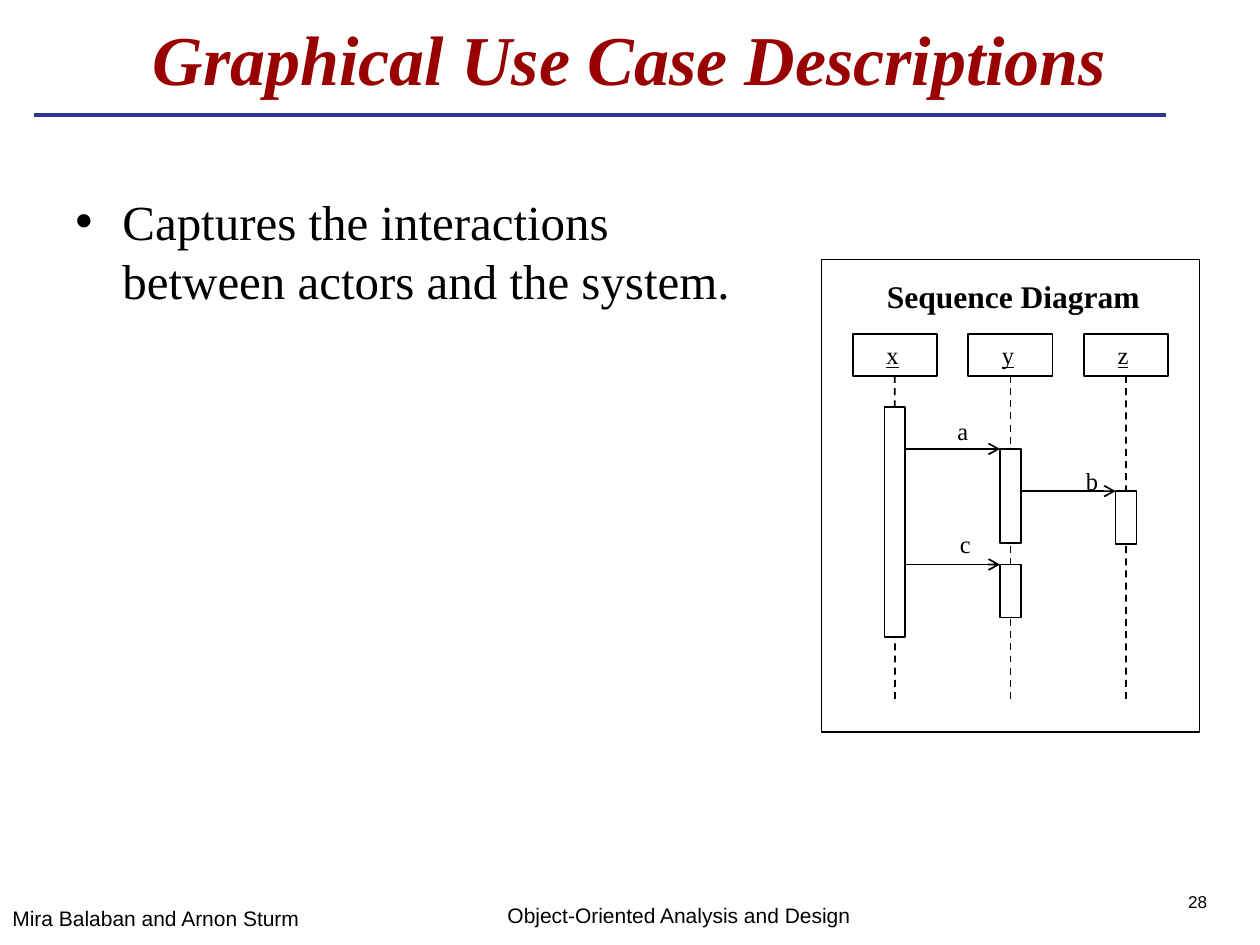
from lxml.etree import SubElement
from pptx import Presentation
from pptx.dml.color import RGBColor
from pptx.enum.dml import MSO_LINE
from pptx.enum.shapes import MSO_CONNECTOR, MSO_SHAPE
from pptx.enum.text import MSO_ANCHOR, PP_ALIGN
from pptx.oxml.ns import qn
from pptx.util import Cm, Pt

SERIF, SANS = "Times New Roman", "Arial"
BLACK = "000000"

deck = Presentation()
deck.slide_width, deck.slide_height = Cm(25.4), Cm(19.05)
slide = deck.slides.add_slide(deck.slide_layouts[6])


def add_text(shapes, text, left, top, width, height, size, font=SERIF,
             color=BLACK, wrap=True, align=PP_ALIGN.LEFT):
    box = shapes.add_textbox(Cm(left), Cm(top), Cm(width), Cm(height))
    box.text_frame.word_wrap = wrap
    paragraph = box.text_frame.paragraphs[0]
    paragraph.alignment = align
    run = paragraph.add_run()
    run.text = text
    run.font.name, run.font.size = font, Pt(size)
    run.font.color.rgb = RGBColor.from_string(color)
    return box.text_frame, paragraph, run


def add_line(shapes, x1, y1, x2, y2, color=BLACK, weight=1):
    line = shapes.add_connector(MSO_CONNECTOR.STRAIGHT, Cm(x1), Cm(y1), Cm(x2), Cm(y2))
    line.line.color.rgb = RGBColor.from_string(color)
    line.line.width = Pt(weight)
    SubElement(line._element.spPr, qn("a:effectLst"))
    return line


# Title with its rule
add_line(slide.shapes, 0.69, 2.32, 23.5, 2.32, "333399", 2.25)
title_frame, _, title = add_text(slide.shapes, "Graphical Use Case Descriptions",
                                 0.69, 0, 24, 2.32, 40, color="990000",
                                 align=PP_ALIGN.CENTER)
title_frame.vertical_anchor = MSO_ANCHOR.MIDDLE
title.font.bold = title.font.italic = True

# Bullet
_, bullet, _ = add_text(slide.shapes,
                        "Captures the interactions between actors and the system.",
                        1.27, 3.73, 13.82, 13.28, 28)
bullet_format = bullet._p.get_or_add_pPr()
bullet_format.set("marL", str(Cm(0.95)))
bullet_format.set("indent", str(-Cm(0.95)))
SubElement(bullet_format, qn("a:buFont"), typeface=SANS)
SubElement(bullet_format, qn("a:buChar"), char="•")

# Footer
add_text(slide.shapes, "Mira Balaban and Arnon Sturm", 0, 18.14, 7.49, 0.91, 12, SANS)
add_text(slide.shapes, "Object-Oriented Analysis and Design", 7.49, 18.06, 12.4, 0.99,
         12, SANS, align=PP_ALIGN.CENTER)
_, page_number, _ = add_text(slide.shapes, "28", 23.7, 17.93, 2.49, 0.71, 9.8, SANS)
page_number.line_spacing = 0.8

# Sequence diagram: frame, object headers and activation bars
diagram = slide.shapes.add_group_shape().shapes
OBJECT_X = [18.04 + 2.33 * column for column in range(3)]
HEADER_TOP, HEADER_WIDTH, HEADER_HEIGHT = 6.73, 1.7, 0.85
BAR_WIDTH = 0.42
ACTIVATIONS = [(0, 8.2, 4.65), (1, 9.05, 1.9), (2, 9.9, 1.07), (1, 11.38, 1.07)]

boxes = [(16.56, 5.23, 7.62, 9.53)]
boxes += [(x - HEADER_WIDTH / 2, HEADER_TOP, HEADER_WIDTH, HEADER_HEIGHT)
          for x in OBJECT_X]
boxes += [(OBJECT_X[column] - BAR_WIDTH / 2, top, BAR_WIDTH, height)
          for column, top, height in ACTIVATIONS]

headers = []
for index, bounds in enumerate(boxes):
    # Lifelines lie under the activation bars
    if index == 4:
        for x, header in zip(OBJECT_X, headers):
            lifeline = add_line(diagram, x, HEADER_TOP + HEADER_HEIGHT, x, 14.12)
            lifeline.begin_connect(header, 2)
            lifeline.line.dash_style = MSO_LINE.DASH
    rectangle = diagram.add_shape(MSO_SHAPE.RECTANGLE, *map(Cm, bounds))
    rectangle.shadow.inherit = False
    rectangle.line.color.rgb = RGBColor.from_string(BLACK)
    rectangle.line.width = Pt(1)
    if 1 <= index <= 3:
        rectangle.fill.background()
        headers.append(rectangle)
    else:
        rectangle.fill.solid()
        rectangle.fill.fore_color.rgb = RGBColor.from_string("FFFFFF")

# Object names
for name, x in zip("xyz", OBJECT_X):
    _, _, object_name = add_text(diagram, name, x - 0.42, HEADER_TOP, 0.76, 0.86, 14,
                                 wrap=False)
    object_name.font.underline = True

# Messages: name, sending column, height, label position
for name, sender, y, label_left, label_top in [("a", 0, 9.05, 19.05, 8.26),
                                               ("b", 1, 9.9, 21.64, 9.27),
                                               ("c", 0, 11.38, 19.1, 10.54)]:
    message = add_line(diagram, OBJECT_X[sender] + BAR_WIDTH / 2, y,
                       OBJECT_X[sender + 1] - BAR_WIDTH / 2, y)
    SubElement(message.line._get_or_add_ln(), qn("a:tailEnd"), type="arrow")
    add_text(diagram, name, label_left, label_top, 0.74, 0.86, 14, wrap=False)

# Diagram heading
_, _, heading = add_text(diagram, "Sequence Diagram", 17.63, 5.46, 6.2, 1.02, 18)
heading.font.bold = True

deck.save("out.pptx")
